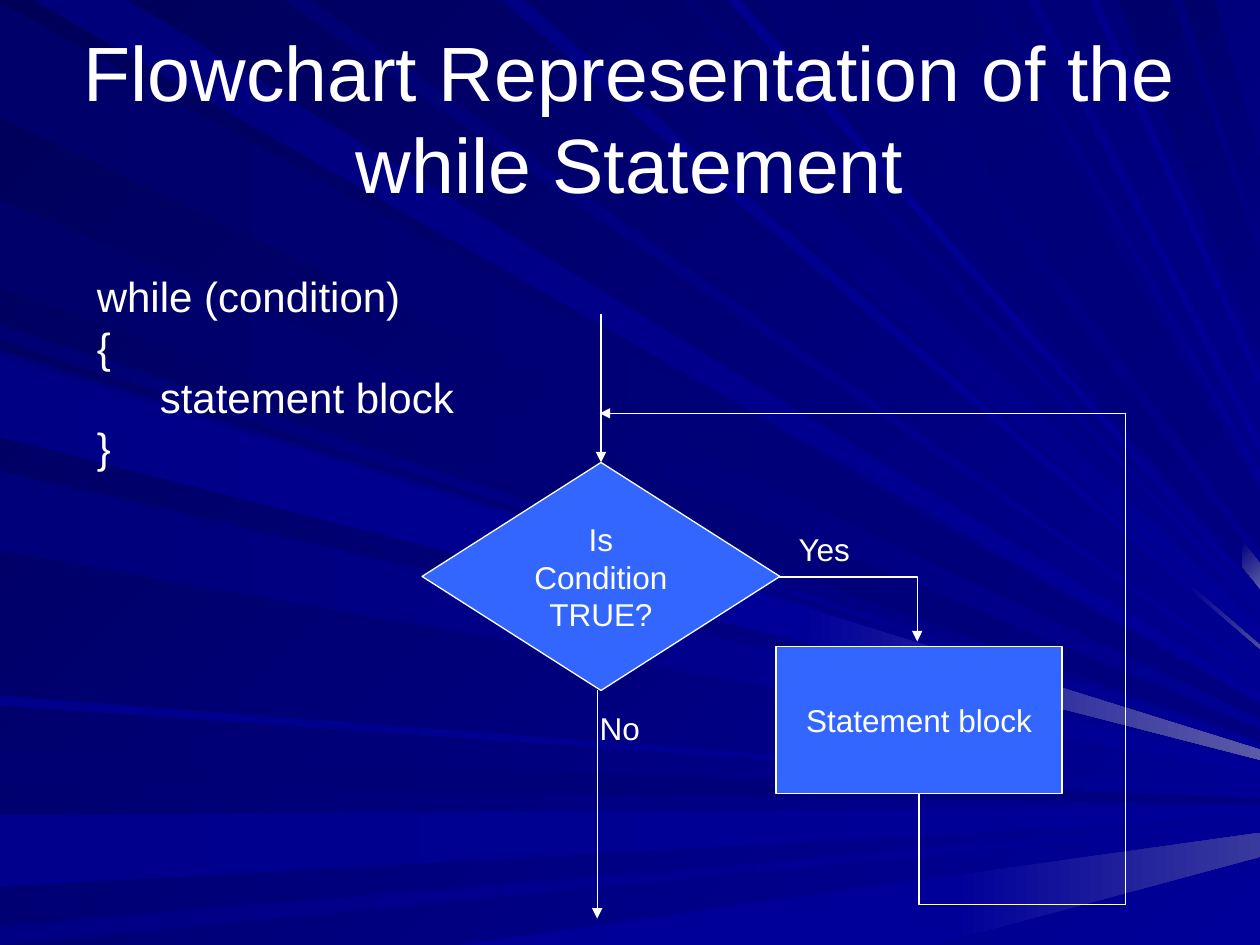
"""Build the slide that shows the while statement as a flowchart over a field of light rays."""
from lxml.etree import SubElement
from pptx import Presentation
from pptx.dml.color import RGBColor as RGB
from pptx.enum.shapes import MSO_CONNECTOR as LINK, MSO_SHAPE as SHAPE
from pptx.enum.text import MSO_ANCHOR as ANCHOR, PP_ALIGN as ALIGN
from pptx.oxml.ns import qn
from pptx.util import Inches, Pt

COLORS = {"white": "FFFFFF", "node": "3366FF", "night": "000058", "ink": "00006B",
          "deep": "000073", "navy": "00007B", "dusk": "000080", "royal": "000085",
          "blue": "00008C", "light": "000099", "haze": "39399E", "glow": "4A4AA1",
          "shine": "5A5AA6"}
FONT = "Arial"
COLUMNS, ROWS = 1000, 750
FOCUS_X, FOCUS_Y = 1146, 640

RAYS = [
    ("left", 2, 93, "ink", "dusk"),
    ("top", 26, 101, "navy", "light"),
    ("left", 596, 623, "deep", "dusk"),
    ("left", 647, 704, "blue", "light"),
    ("left", 735, 750, "royal", "light"),
    ("bottom", 364, 742, "light", "light", 756, "haze"),
    ("left", 258, 270, "deep", "light"),
    ("left", 159, 228, "ink", "dusk"),
    ("top", 398, 416, "royal", "light", 945, "glow"),
    ("top", 426, 492, "ink", "light"),
    ("top", 540, 552, "deep", "light"),
    ("top", 606, 661, "deep", "dusk", 986, "shine"),
    ("top", 887, 930, "ink", "dusk"),
    ("top", 939, 964, "ink", "dusk"),
    ("left", 278, 342, "navy", "light"),
    ("left", 374, 437, "navy", "light"),
    ("left", 552, 560, "blue", "light"),
    ("top", 225, 247, "deep", "light"),
    ("top", 577, 588, "blue", "light"),
    ("top", 686, 770, "deep", "dusk"),
    ("top", 785, 792, "navy", "light"),
    ("top", 815, 824, "royal", "light"),
    ("top", 865, 872, "blue", "light"),
    ("left", 283, 347, "royal", "light", 635, "shine"),
]

deck = Presentation()
deck.slide_width, deck.slide_height = Inches(10), Inches(7.5)
cell = deck.slide_width // COLUMNS
page = deck.slides.add_slide(deck.slide_layouts[6])
shapes = page.shapes


def paint(fill, start, end, angle=0):
    if start == end:
        fill.solid()
        fill.fore_color.rgb = RGB.from_string(COLORS[start])
        return
    fill.gradient()
    fill.gradient_angle = (360 - angle) % 360
    for stop, name in zip(fill.gradient_stops, (start, end)):
        stop.color.rgb = RGB.from_string(COLORS[name])


def write(box, lines, size, align=ALIGN.LEFT, anchor=ANCHOR.TOP, wrap=False):
    frame = box.text_frame
    frame.word_wrap, frame.vertical_anchor = wrap, anchor
    for number, line in enumerate(lines):
        para = frame.add_paragraph() if number else frame.paragraphs[0]
        para.alignment = align
        span = para.add_run()
        span.text = line
        span.font.name, span.font.size = FONT, Pt(size)
        span.font.color.rgb = RGB.from_string(COLORS["white"])


paint(page.background.fill, "night", "light", 45)
for side, first, last, start, end, *tip in RAYS:
    edge = ROWS if side == "bottom" else 0
    near = [(0, n) if side == "left" else (n, edge) for n in (first, last)]
    pieces = [(tip[0], start, end), (COLUMNS, end, tip[1])] if tip else [(COLUMNS, start, end)]
    for stop, tint, shade in pieces:
        far = [(stop, y + (FOCUS_Y - y) * (stop - x) / (FOCUS_X - x)) for x, y in near]
        builder = shapes.build_freeform(*near[0], scale=cell)
        builder.add_line_segments([near[1], far[1], far[0]], close=True)
        ray = builder.convert_to_shape()
        ray.shadow.inherit = False
        ray.line.fill.background()
        paint(ray.fill, tint, shade, 45 if side == "top" else 0)
        near = far

title = shapes.add_textbox(*(cell * n for n in (50, 30, 900, 125)))
write(title, ["Flowchart Representation of the while Statement"], 44,
      ALIGN.CENTER, ANCHOR.MIDDLE, True)

nodes = []
for kind, place, lines in [
    (SHAPE.FLOWCHART_DECISION, (335, 367, 284, 181), ["Is", "Condition", "TRUE?"]),
    (SHAPE.RECTANGLE, (616, 513, 227, 117), ["Statement block"]),
]:
    node = shapes.add_shape(kind, *(cell * n for n in place))
    node.shadow.inherit = False
    paint(node.fill, "node", "node")
    node.line.color.rgb = RGB.from_string(COLORS["white"])
    node.line.width = Pt(0.75)
    write(node, lines, 18, ALIGN.CENTER, ANCHOR.MIDDLE)
    nodes.append(node)
decision, block = nodes

links = {}
for name, kind, ends, arrow in [
    ("entry", LINK.STRAIGHT, (477, 249, 477, 367), True),
    ("yes", LINK.ELBOW, (618, 458, 728, 509), True),
    ("no", LINK.STRAIGHT, (474, 548, 474, 729), True),
    ("back", LINK.STRAIGHT, (894, 328, 476, 328), True),
    ("loop", LINK.ELBOW, (660, 397, 963, 561), False),
]:
    link = shapes.add_connector(kind, *(cell * n for n in ends))
    link.line.color.rgb = RGB.from_string(COLORS["white"])
    link.line.width = Pt(0.75)
    if arrow:
        SubElement(link.line._get_or_add_ln(), qn("a:tailEnd"), type="triangle")
    SubElement(link._element.spPr, qn("a:effectLst"))
    links[name] = link
links["entry"].end_connect(decision, 0)
links["yes"]._element.spPr.find(qn("a:prstGeom")).set("prst", "bentConnector2")

loop = links["loop"]._element.spPr
for key, value in {"rot": "5400000", "flipH": "1", "flipV": "1"}.items():
    loop.find(qn("a:xfrm")).set(key, value)
bend = loop.find(qn("a:prstGeom"))
guides = bend.find(qn("a:avLst"))
if guides is None:
    guides = SubElement(bend, qn("a:avLst"))
SubElement(guides, qn("a:gd"), name="adj1", fmla="val -28800")

for place, lines, size in [
    ((466, 558, 52, 40), ["No"], 18),
    ((624, 416, 63, 40), ["Yes"], 18),
    ((67, 210, 354, 170), ["while (condition)", "{", "\tstatement block", "}"], 24),
]:
    write(shapes.add_textbox(*(cell * n for n in place)), lines, size)

deck.save("out.pptx")
